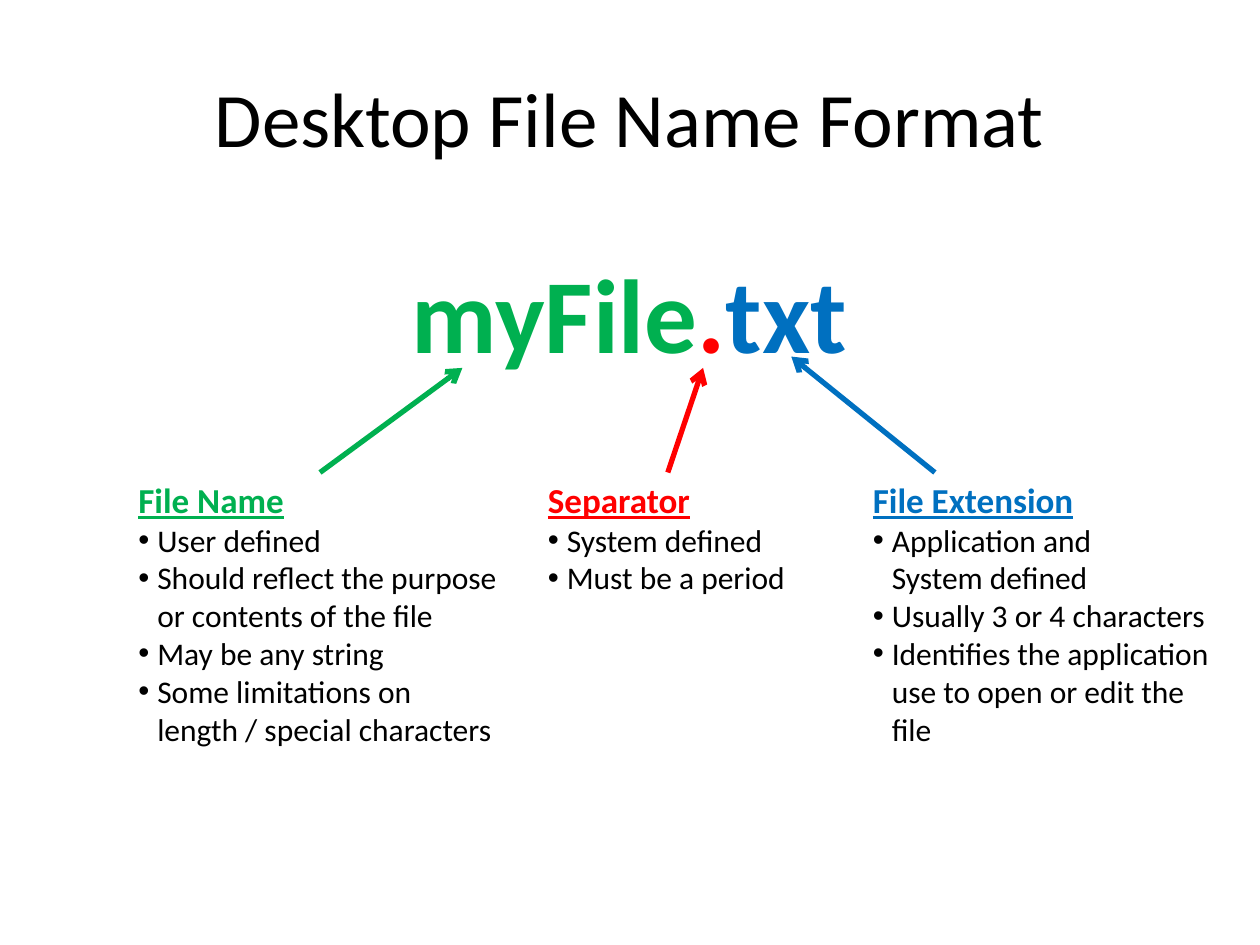
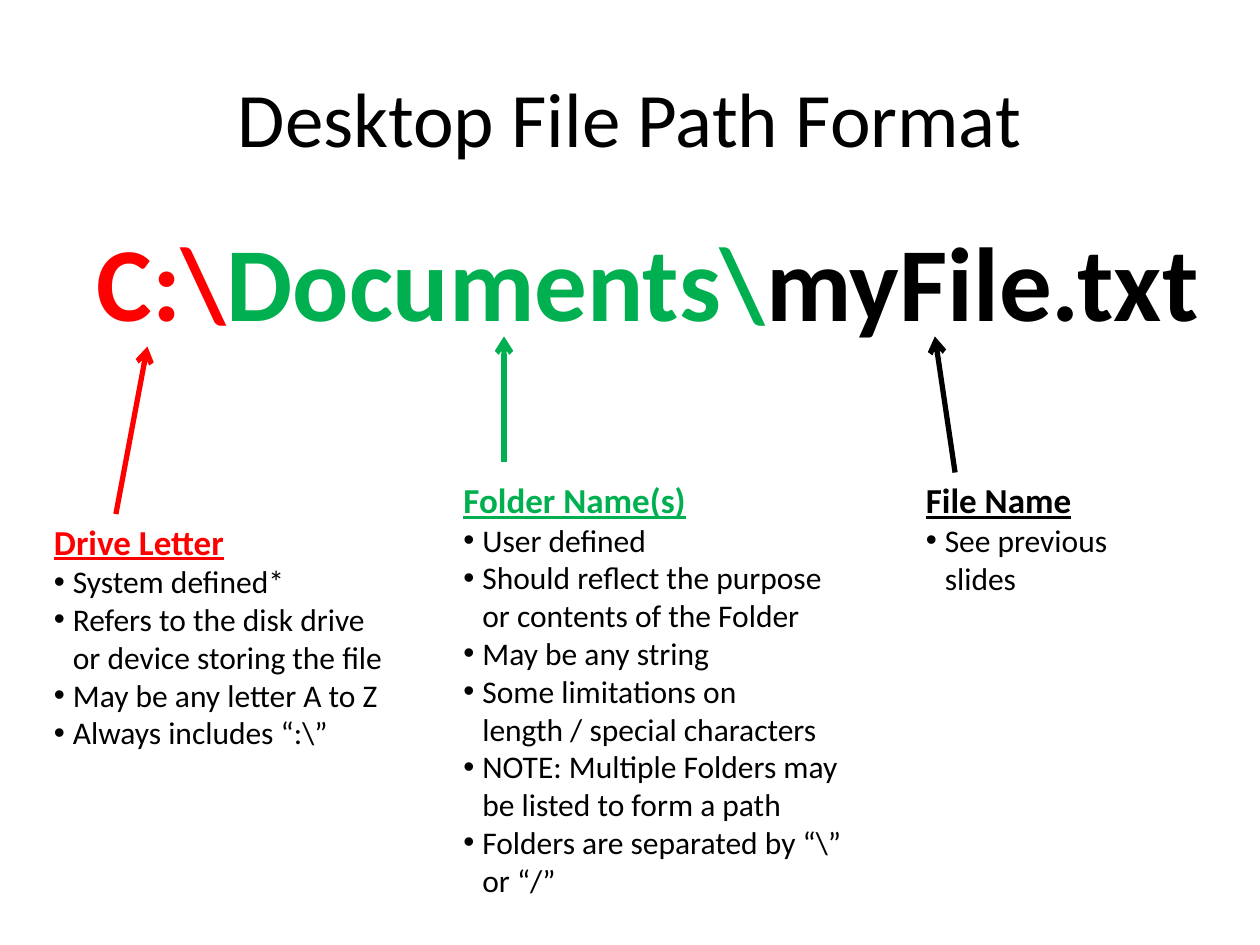
from lxml import etree
from pptx import Presentation
from pptx import util as u
from pptx.dml.color import RGBColor
from pptx.enum import shapes, text
from pptx.oxml.ns import qn

HEX = {"black": "000000", "green": "00B050", "red": "FF0000", "blue": "0070C0"}


def write(para, words, size=18, color="black", bold=False, line=False):
    """Add one run to a paragraph; a newline becomes a line break."""
    for i, part in enumerate(words.split("\n")):
        if i:
            para.add_line_break()
        run = para.add_run()
        run.text = part
        font = run.font
        font.name, font.size = "Calibri", u.Pt(size)
        font.bold, font.underline = bold, line
        font.color.rgb = RGBColor.from_string(HEX[color])


class Deck:
    def __init__(self):
        self.prs = Presentation()
        self.prs.slide_width = u.Inches(10)
        self.prs.slide_height = u.Inches(7.5)

    def page(self, title):
        self.slide = self.prs.slides.add_slide(self.prs.slide_layouts[6])
        frame = self.box(0.5, 0.3, 9, 1.25)
        frame.vertical_anchor = text.MSO_ANCHOR.MIDDLE
        para = frame.paragraphs[0]
        para.alignment = text.PP_ALIGN.CENTER
        write(para, title, size=44)

    def box(self, *area, wrap=True):
        shape = self.slide.shapes.add_textbox(*map(u.Inches, area))
        shape.text_frame.word_wrap = wrap
        return shape.text_frame

    def sample(self, area, parts):
        """Large example text, one colour for each part."""
        para = self.box(*area, wrap=False).paragraphs[0]
        for words, color in parts:
            write(para, words, size=60, color=color, bold=True)

    def column(self, area, head, color, items):
        """Underlined heading above a bulleted list."""
        frame = self.box(*area)
        write(frame.paragraphs[0], head, size=20, color=color, bold=True, line=True)
        for item in items:
            para = frame.add_paragraph()
            props = para._p.get_or_add_pPr()
            props.set("marL", str(u.Inches(0.15)))
            props.set("indent", str(-u.Inches(0.15)))
            font = etree.SubElement(props, qn("a:buFont"))
            font.set("typeface", "Arial")
            etree.SubElement(props, qn("a:buChar")).set("char", "•")
            write(para, item)

    def arrow(self, start, end, color):
        link = self.slide.shapes.add_connector(
            shapes.MSO_CONNECTOR.STRAIGHT, *map(u.Inches, start + end))
        link.line.width = u.Pt(3)
        link.line.color.rgb = RGBColor.from_string(HEX[color])
        tip = etree.SubElement(link.line._get_or_add_ln(), qn("a:tailEnd"))
        tip.set("type", "arrow")
        etree.SubElement(link._element.spPr, qn("a:effectLst"))


# Rules shared by file and folder names
PURPOSE = "Should reflect the purpose\nor contents of the "
LIMITS = ["May be any string", "Some limitations on\nlength / special characters"]

deck = Deck()

# Slide 1: parts of a file name
deck.page("Desktop File Name Format")
deck.sample((3.17, 1.92, 3.67, 1.11),
            [("myFile", "green"), (".", "red"), ("txt", "blue")])
deck.column((1, 3.75, 3.08, 2.26), "File Name", "green",
            ["User defined", PURPOSE + "file", *LIMITS])
deck.column((4.25, 3.75, 2.1, 1.04), "Separator", "red",
            ["System defined", "Must be a period"])
deck.column((6.83, 3.75, 2.9, 2.56), "File Extension", "blue",
            ["Application and\nSystem defined", "Usually 3 or 4 characters",
             "Identifies the application\nuse to open or edit the\nfile"])
deck.arrow((2.54, 3.75), (3.67, 2.92), "green")
deck.arrow((5.3, 3.75), (5.58, 2.92), "red")
deck.arrow((7.42, 3.75), (6.28, 2.83), "blue")

# Slide 2: parts of a file path
deck.page("Desktop File Path Format")
deck.sample((0.67, 1.67, 9.03, 1.11),
            [("C:\\", "red"), ("Documents\\", "green"), ("myFile.txt", "black")])
deck.column((0.33, 4.08, 2.92, 1.95), "Drive Letter", "red",
            ["System defined*", "Refers to the disk drive\nor device storing the file",
             "May be any letter A to Z", "Always includes “:\\”"])
deck.column((3.58, 3.75, 3.25, 3.47), "Folder Name(s)", "green",
            ["User defined", PURPOSE + "Folder", *LIMITS,
             "NOTE: Multiple Folders may\nbe listed to form a path",
             "Folders are separated by “\\”\nor “/”"])
deck.column((7.25, 3.75, 2.08, 1.35), "File Name", "black",
            ["See previous\nslides"])
deck.arrow((0.92, 4.08), (1.17, 2.75), "red")
deck.arrow((4, 3.67), (4, 2.67), "green")
deck.arrow((7.58, 3.75), (7.42, 2.67), "black")

deck.prs.save("out.pptx")
